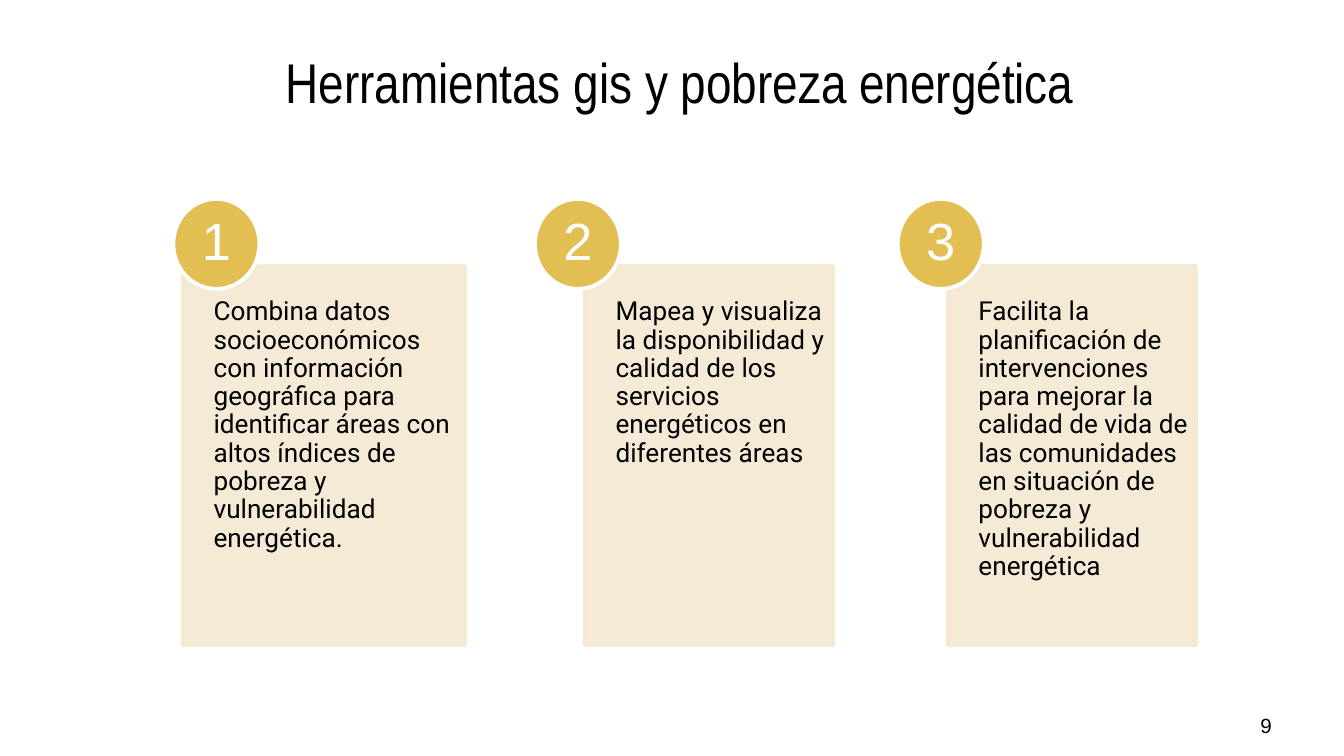
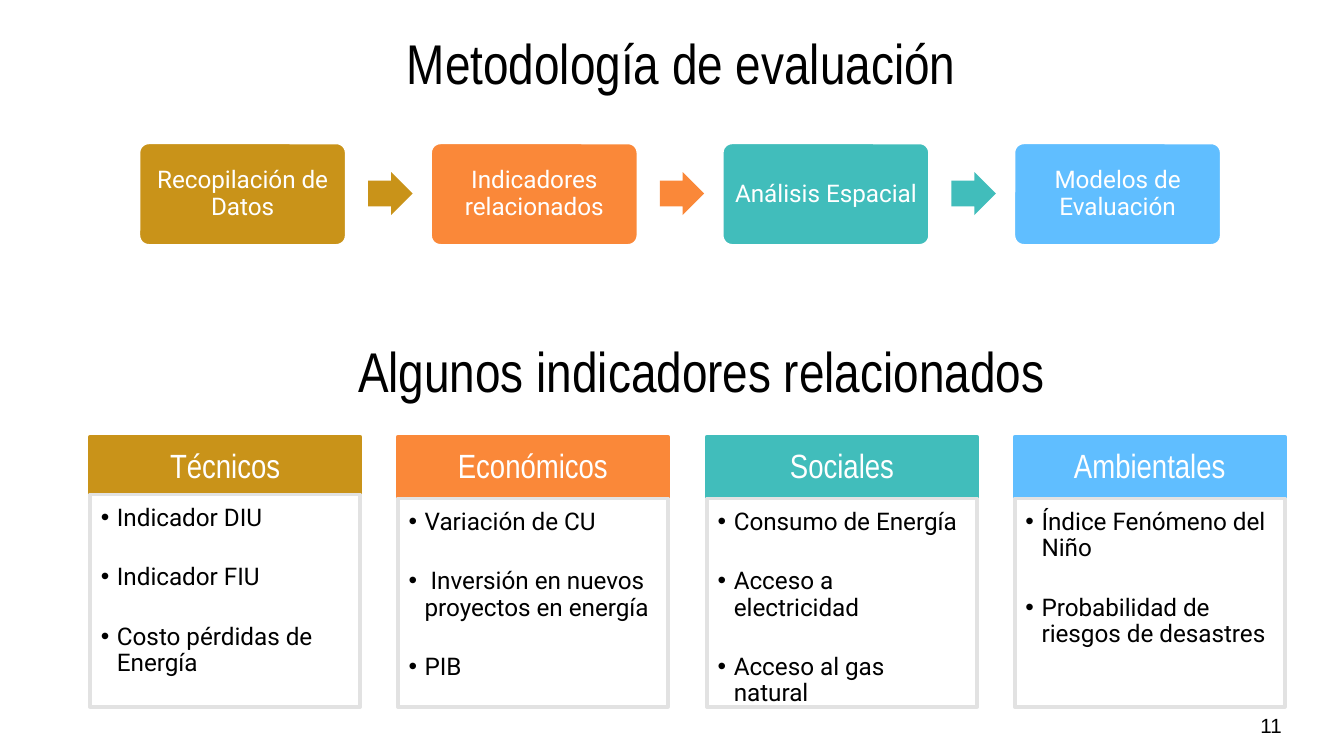
from lxml.etree import SubElement
from pptx import Presentation
from pptx.dml.color import RGBColor
from pptx.enum.shapes import MSO_SHAPE
from pptx.enum.text import MSO_ANCHOR, MSO_AUTO_SIZE, PP_ALIGN
from pptx.oxml.ns import qn
from pptx.util import Emu, Pt

PX = 9144  # 100 px to the inch

BLACK = RGBColor(0x00, 0x00, 0x00)
WHITE = RGBColor(0xFF, 0xFF, 0xFF)
SAND = RGBColor(0xF4, 0xE8, 0xD1)
GOLD = RGBColor(0xE2, 0xBE, 0x53)
GREY = RGBColor(0xE2, 0xE2, 0xE2)
OCHRE = RGBColor(0xC9, 0x93, 0x19)
ORANGE = RGBColor(0xFA, 0x88, 0x39)
TEAL = RGBColor(0x41, 0xBD, 0xBB)
SKY = RGBColor(0x60, 0xBE, 0xFF)
SERIES = [OCHRE, ORANGE, TEAL, SKY]

NARROW, SANS, BODY = "Arial Narrow", "Arial", "Roboto"

# Left, width and text of each numbered card
TOOLS = [
    (136, 210, "Combina datos socioeconómicos con información geográfica para "
               "identificar áreas con altos índices de pobreza y "
               "vulnerabilidad energética."),
    (435, 185, "Mapea y visualiza la disponibilidad y calidad de los servicios "
               "energéticos en diferentes áreas"),
    (705, 185, "Facilita la planificación de intervenciones para mejorar la "
               "calidad de vida de las comunidades en situación de pobreza y "
               "vulnerabilidad energética"),
]
STEPS = ["Recopilación de Datos", "Indicadores relacionados",
         "Análisis Espacial", "Modelos de Evaluación"]
# Heading, top of the list and its entries
INDICATORS = [
    ("Técnicos", 368,
     ["Indicador DIU", "Indicador FIU", "Costo pérdidas de Energía"]),
    ("Económicos", 371,
     ["Variación de CU", " Inversión en nuevos proyectos en energía", "PIB"]),
    ("Sociales", 371,
     ["Consumo de Energía", "Acceso a electricidad", "Acceso al gas natural"]),
    ("Ambientales", 371,
     ["Índice Fenómeno del Niño", "Probabilidad de riesgos de desastres"]),
]


def px(*lengths):
    return [Emu(length * PX) for length in lengths]


def place(shape, box):
    shape.left, shape.top, shape.width, shape.height = px(*box)


def set_alpha(properties, percent):
    """Make the solid colours of a shape's fill and line partly transparent."""
    for color in properties.iter(qn("a:srgbClr")):
        SubElement(color, qn("a:alpha"), val=str(percent * 1000))


def paint(shape, fill, line=None, alpha=None):
    shape.fill.solid()
    shape.fill.fore_color.rgb = fill
    if line is None:
        shape.line.fill.background()
    else:
        shape.line.color.rgb = line
        shape.line.width = Pt(2)
    if alpha:
        set_alpha(shape.element.spPr, alpha)


def write(shape, text, font, size, color, align=PP_ALIGN.CENTER,
          anchor=MSO_ANCHOR.MIDDLE, insets=(10, 10, 10, 10), spacing=0.9):
    frame = shape.text_frame
    frame.text = text
    frame.word_wrap = True
    frame.auto_size = MSO_AUTO_SIZE.NONE
    frame.vertical_anchor = anchor
    (frame.margin_left, frame.margin_top,
     frame.margin_right, frame.margin_bottom) = px(*insets)
    for paragraph in frame.paragraphs:
        paragraph.alignment = align
        paragraph.line_spacing = spacing
        paragraph.space_before = Pt(0)
        for run in paragraph.runs:
            run.font.name = font
            run.font.size = Pt(size)
            run.font.bold = False
            run.font.color.rgb = color


def add_block(slide, kind, box, fill, line=None, alpha=None):
    block = slide.shapes.add_shape(kind, *px(*box))
    block.shadow.inherit = False
    paint(block, fill, line, alpha)
    return block


def write_heading(shape, text):
    write(shape, text, NARROW, 30, BLACK, spacing=1.0)


def add_slide(deck, layout_index, title, title_box, number):
    """Start a slide with its title and page number."""
    slide = deck.slides.add_slide(deck.slide_layouts[layout_index])
    place(slide.shapes.title, title_box)
    write_heading(slide.shapes.title, title)
    page = slide.shapes.add_textbox(*px(928, 526, 60, 43))
    write(page, number, SANS, 11, BLACK, PP_ALIGN.LEFT, MSO_ANCHOR.TOP,
          (10, 5, 10, 5), 1.0)
    return slide


def add_numbered_card(slide, index, left, width, text):
    card = add_block(slide, MSO_SHAPE.RECTANGLE, (left, 198, width, 282),
                     SAND, SAND, alpha=90)
    write(card, text, BODY, 14, BLACK, PP_ALIGN.LEFT, MSO_ANCHOR.TOP,
          (23, 24, 5, 5))
    badge = add_block(slide, MSO_SHAPE.OVAL,
                      (129 + index * 539 // 2, 148, 64, 67), GOLD, WHITE)
    write(badge, str(index + 1), SANS, 28, WHITE, insets=(0, 0, 0, 0))


def add_step(slide, index, text, color):
    left = 103 + 217 * index
    step = add_block(slide, MSO_SHAPE.ROUNDED_RECTANGLE,
                     (left, 106, 155, 77), color, WHITE)
    step.adjustments[0] = 0.1
    write(step, text, BODY, 13, WHITE, insets=(6, 8, 6, 8))
    if index < len(STEPS) - 1:
        arrow = add_block(slide, MSO_SHAPE.RIGHT_ARROW,
                          (left + 171, 128, 33, 32), color)
        arrow.adjustments[0] = 0.6
        arrow.adjustments[1] = 0.5


def add_bullets(shape):
    for paragraph in shape.text_frame.paragraphs:
        paragraph.space_after = Pt(17.8)
        properties = paragraph._p.get_or_add_pPr()
        properties.set("marL", str(12 * PX))
        properties.set("indent", str(-12 * PX))
        bullet_color = SubElement(properties, qn("a:buClr"))
        SubElement(bullet_color, qn("a:srgbClr"), val=str(BLACK))
        SubElement(properties, qn("a:buFont"), typeface=SANS)
        SubElement(properties, qn("a:buChar"), char="•")


def add_indicator_column(slide, index, heading, top, entries, color):
    left, width, bottom = 67 + round(229.4 * index), 201, 526
    header = add_block(slide, MSO_SHAPE.RECTANGLE, (left, 325, width, 46),
                       color, color)
    write(header, heading, NARROW, 18, WHITE, insets=(14, 8, 14, 8))

    # The list lies just in front of its header
    entry_list = slide.placeholders[index + 1]
    place(entry_list, (left, top, width, bottom - top))
    paint(entry_list, WHITE, GREY)
    write(entry_list, "\n".join(entries), BODY, 13, BLACK, PP_ALIGN.LEFT,
          MSO_ANCHOR.TOP, (8, 8, 10, 11))
    add_bullets(entry_list)
    header.element.addnext(entry_list.element)


def build_tools_slide(deck):
    slide = add_slide(deck, 5, "Herramientas gis y pobreza energética",
                      (40, 14, 932, 92), "9")
    for index, (left, width, text) in enumerate(TOOLS):
        add_numbered_card(slide, index, left, width, text)


def build_method_slide(deck):
    slide = add_slide(deck, 4, "Metodología de evaluación",
                      (41, 0, 932, 92), "11")
    for index, (text, color) in enumerate(zip(STEPS, SERIES)):
        add_step(slide, index, text, color)
    for index, (column, color) in enumerate(zip(INDICATORS, SERIES)):
        add_indicator_column(slide, index, *column, color)
    subtitle = slide.shapes.add_textbox(*px(56, 229, 932, 92))
    write_heading(subtitle, "Algunos indicadores relacionados")


def main():
    deck = Presentation()
    deck.slide_width = Emu(1000 * PX)
    deck.slide_height = Emu(deck.slide_width * 9 // 16)
    build_tools_slide(deck)
    build_method_slide(deck)
    deck.save("out.pptx")


if __name__ == "__main__":
    main()
